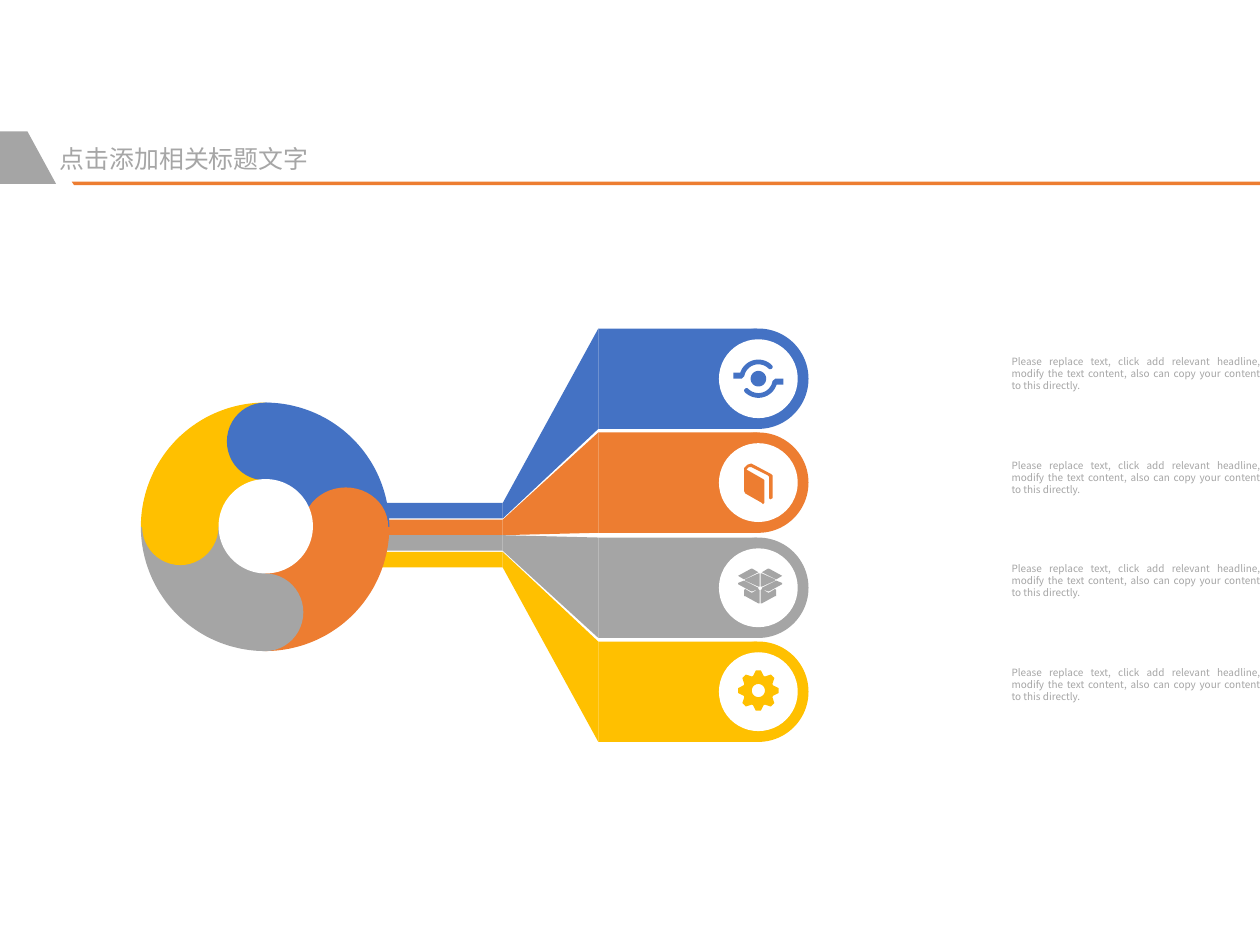
import math

import lxml.etree
import pptx
import pptx.dml.color
import pptx.enum.shapes
import pptx.enum.text
import pptx.oxml.ns
import pptx.util

SCALE = 9144
SHAPES = pptx.enum.shapes.MSO_SHAPE
ALIGN = pptx.enum.text.PP_ALIGN

BLUE, ORANGE, GREY, GOLD = COLORS = ["4472C4", "ED7D31", "A5A5A5", "FFC000"]
WHITE, TEXT_GREY = "FFFFFF", "A6A6A6"

TITLE = "点击添加相关标题文字"
BODY = (
    "Please replace text, click add relevant headline, "
    "modify the text content, also can copy your content to this directly."
)


def px(length):
    return pptx.util.Emu(round(length * SCALE))


def rgb(color):
    return pptx.dml.color.RGBColor.from_string(color)


def polar(center, radius, degrees):
    angle = math.radians(degrees)
    return (center[0] + radius * math.cos(angle), center[1] + radius * math.sin(angle))


def arc(center, radius, start, end, steps=48):
    return [polar(center, radius, start + (end - start) * step / steps) for step in range(steps + 1)]


class Painter:
    def __init__(self, page):
        self.page = page

    def paint(self, shape, color):
        shape.shadow.inherit = False
        shape.fill.solid()
        shape.fill.fore_color.rgb = rgb(color)
        shape.line.fill.background()

    def preset(self, kind, left, top, width, height, color):
        shape = self.page.shapes.add_shape(kind, px(left), px(top), px(width), px(height))
        self.paint(shape, color)

    def rectangle(self, *place):
        self.preset(SHAPES.RECTANGLE, *place)

    def ellipse(self, *place):
        self.preset(SHAPES.OVAL, *place)

    def outline(self, contours, color):
        contours = [[(px(x), px(y)) for x, y in contour] for contour in contours]
        builder = self.page.shapes.build_freeform(*contours[0][0])
        builder.add_line_segments(contours[0][1:], close=True)
        for contour in contours[1:]:
            builder.move_to(*contour[0])
            builder.add_line_segments(contour[1:], close=True)
        self.paint(builder.convert_to_shape(), color)

    def text(self, box, place, words, font, size, align):
        box.left, box.top, box.width, box.height = (px(length) for length in place)
        frame = box.text_frame
        frame.text = words
        frame.word_wrap = True
        frame.auto_size = pptx.enum.text.MSO_AUTO_SIZE.SHAPE_TO_FIT_TEXT
        frame.vertical_anchor = pptx.enum.text.MSO_ANCHOR.TOP
        frame.margin_left = frame.margin_top = frame.margin_right = frame.margin_bottom = 0
        para = frame.paragraphs[0]
        para.alignment = align
        para.line_spacing = 1.0
        para.space_before = para.space_after = pptx.util.Pt(0)
        para.font.name = font
        para.font.size = pptx.util.Pt(size)
        para.font.bold = False
        para.font.color.rgb = rgb(TEXT_GREY)
        properties = para._p.get_or_add_pPr()
        properties.set("marL", "0")
        properties.set("indent", "0")
        bullet = lxml.etree.Element(pptx.oxml.ns.qn("a:buNone"))
        properties.find(pptx.oxml.ns.qn("a:defRPr")).addprevious(bullet)


def eye_icon():
    center = (635, 317)
    ribbon = (
        [(614, 312), (619, 312)]
        + arc(center, 16, 198, 315)
        + arc(polar(center, 14, 315), 2, -45, 135, 12)
        + arc(center, 12, 315, 190)
        + [(621, 317), (614, 317)]
    )
    turned = [(2 * center[0] - x, 2 * center[1] - y) for x, y in ribbon]
    return [ribbon, turned, arc(center, 6.5, 0, 360)]


def book_icon():
    return [[
        (646, 397), (631, 389), (629, 388), (626, 389), (623, 392), (623, 411), (624, 413),
        (638, 421), (639, 422), (640, 421), (640, 402), (639, 401), (625, 393), (627, 391),
        (629, 391), (643, 398), (644, 399), (644, 417), (645, 418), (647, 417), (647, 398),
    ]]


def carton_icon():
    left_half = [
        [(624, 485), (635, 480), (636, 480), (636, 491), (635, 491), (624, 486)],
        [(635, 492), (623, 486), (618, 488), (618, 489), (629, 495), (630, 495), (635, 493)],
        [(635, 479), (630, 476), (629, 476), (618, 482), (623, 485)],
        [(623, 494), (624, 493), (629, 496), (630, 496), (635, 493), (636, 494),
         (636, 505), (635, 505), (624, 499), (623, 499)],
    ]
    return left_half + [[(1273 - x, y) for x, y in contour] for contour in left_half]


def gear_icon():
    center = (635, 578)
    tooth = [(-20, 13), (-7, 17), (7, 17), (20, 13)]
    rim = [polar(center, radius, 45 * turn + angle) for turn in range(8) for angle, radius in tooth]
    return [rim, arc(center, 5.5, 0, 360)]


def draw_header(painter):
    painter.outline([[(60, 152), (1055, 152), (1055, 155), (62, 155)]], ORANGE)
    painter.outline([[(23, 110), (47, 154), (0, 154), (0, 110)]], GREY)


def draw_branches(painter):
    icons = [eye_icon(), book_icon(), carton_icon(), gear_icon()]
    for index, (color, icon) in enumerate(zip(COLORS, icons)):
        top = round(275 + 87.33 * index)
        stem = round(421 + 13.67 * index)
        painter.rectangle(501, top, 133, 84, color)
        painter.rectangle(320, stem, 101, 13, color)
        painter.outline([[(421, stem), (501, top), (501, top + 84), (421, stem + 13)]], color)
        painter.ellipse(593, top, 84, 84, color)
        painter.ellipse(602, top + 9, 66, 66, WHITE)
        painter.outline(icon, color)


def draw_ring(painter):
    center = (222, 441)
    for index, color in enumerate(COLORS):
        start = 90 * index - 90
        painter.outline([[center] + arc(center, 104, start, start + 90)], color)
    caps = [(190, 337, 64), (254, 408, 71), (190, 480, 64), (119, 408, 64)]
    for (left, top, width), color in zip(caps, COLORS):
        painter.ellipse(left, top, width, 65, color)
    painter.ellipse(183, 401, 79, 79, WHITE)


def main():
    deck = pptx.Presentation()
    deck.slide_width, deck.slide_height = px(1055), px(791)
    page = deck.slides.add_slide(deck.slide_layouts.get_by_name("Comparison"))
    painter = Painter(page)
    title, *bodies = page.placeholders
    painter.text(title, (50, 120, 252, 25), TITLE, "Arial", 15, ALIGN.LEFT)
    for index, body in enumerate(bodies):
        place = (847, round(298 + 86.67 * index), 208, 35)
        painter.text(body, place, BODY, "Noto Sans CJK SC", 6, ALIGN.JUSTIFY)
    draw_branches(painter)
    draw_ring(painter)
    draw_header(painter)
    deck.save("out.pptx")


if __name__ == "__main__":
    main()
